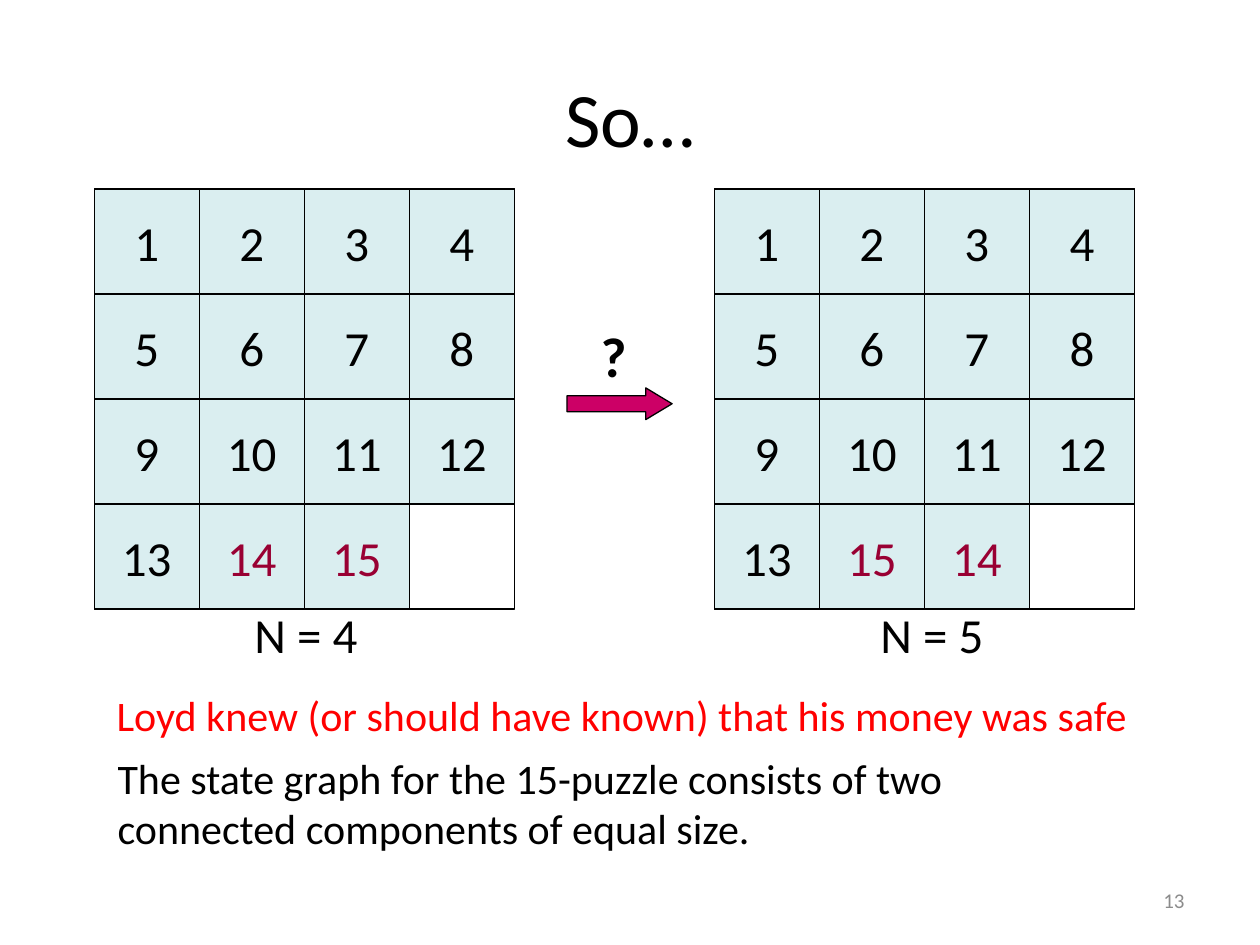
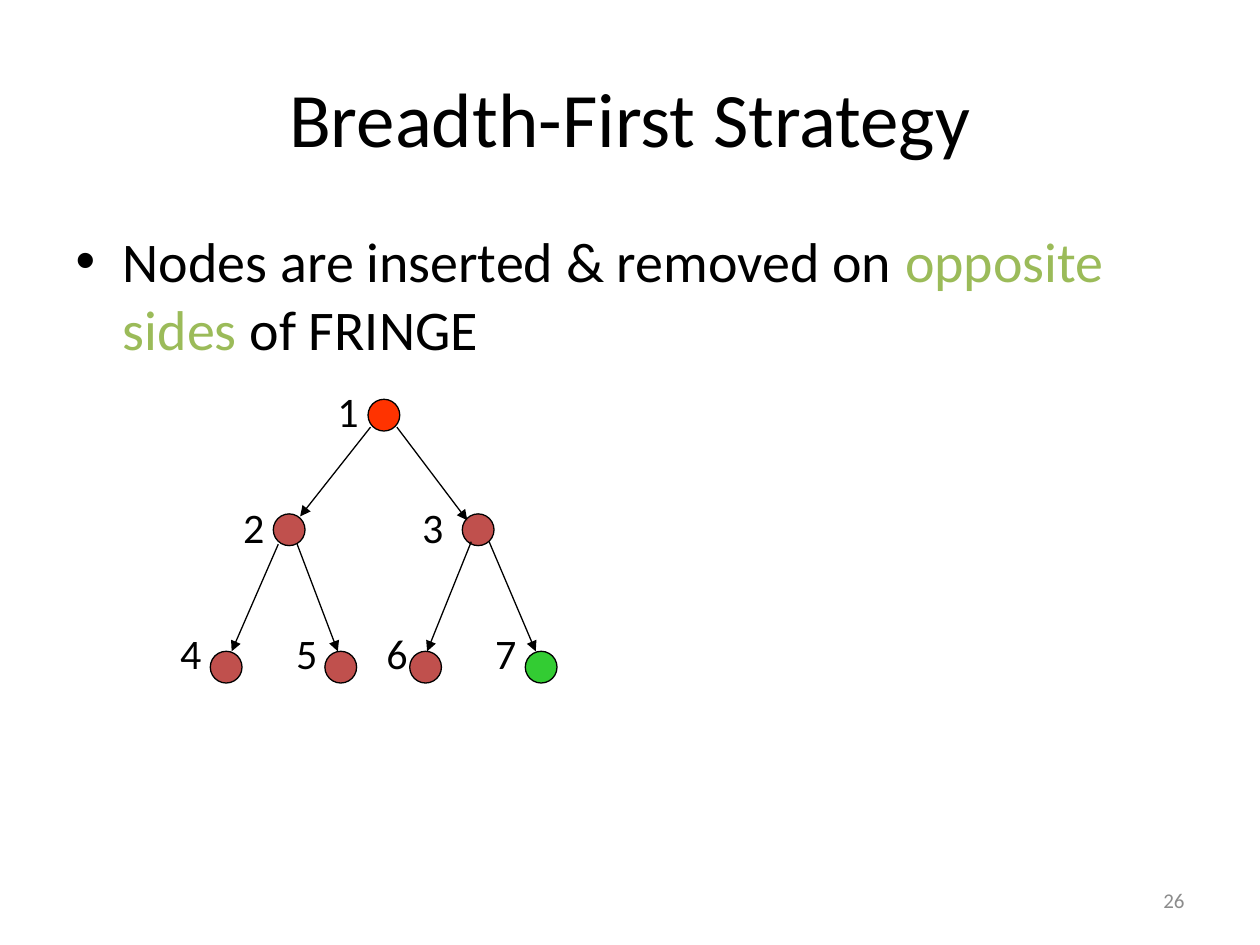
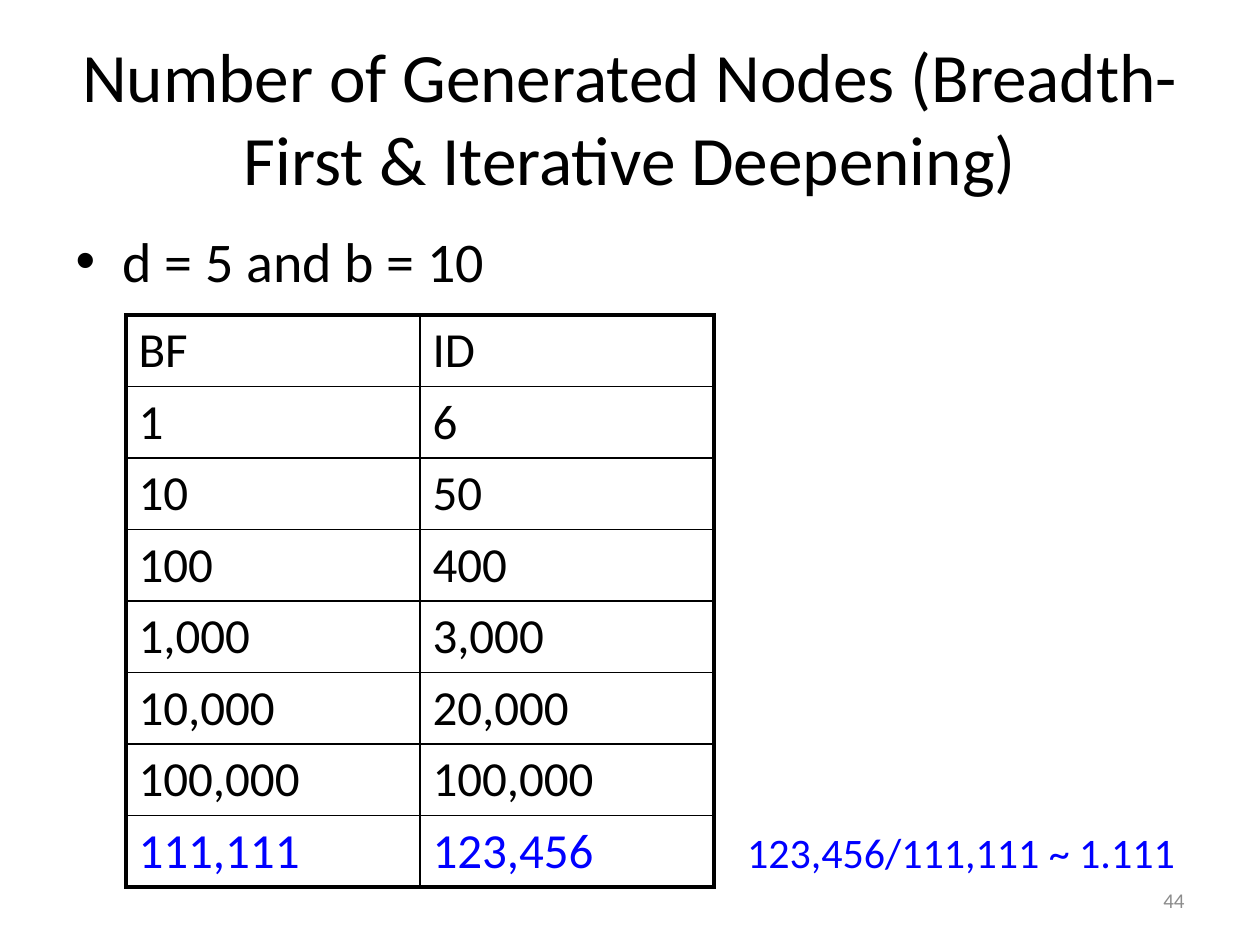
"""Build three slides on search: puzzle parity, breadth-first order and node counts."""
from dataclasses import dataclass

from lxml import etree
from pptx import Presentation
from pptx.dml.color import RGBColor
from pptx.enum.shapes import MSO_CONNECTOR, MSO_SHAPE
from pptx.enum.text import MSO_ANCHOR, MSO_AUTO_SIZE, PP_ALIGN
from pptx.oxml.ns import qn
from pptx.shapes.autoshape import Shape
from pptx.shapes.shapetree import GroupShapes, SlideShapes
from pptx.slide import Slide
from pptx.table import _Cell
from pptx.text.text import _Paragraph
from pptx.util import Cm, Pt

RECTANGLE, ELLIPSE, RIGHT_ARROW = MSO_SHAPE.RECTANGLE, MSO_SHAPE.OVAL, MSO_SHAPE.RIGHT_ARROW
STRAIGHT = MSO_CONNECTOR.STRAIGHT
MIDDLE = MSO_ANCHOR.MIDDLE
LEFT, CENTER, RIGHT = PP_ALIGN.LEFT, PP_ALIGN.CENTER, PP_ALIGN.RIGHT
NO_AUTOFIT = MSO_AUTO_SIZE.NONE

BLACK = RGBColor(0x00, 0x00, 0x00)
GRAY = RGBColor(0x8C, 0x8C, 0x8C)
RED = RGBColor(0xFF, 0x00, 0x00)
BLUE = RGBColor(0x00, 0x00, 0xFF)
OLIVE = RGBColor(0x9B, 0xBB, 0x59)
TILE_FILL = RGBColor(0xDA, 0xEE, 0xF0)
SWAPPED_TEXT = RGBColor(0x99, 0x00, 0x33)
ARROW_FILL = RGBColor(0xCC, 0x00, 0x66)
NODE_FILL = RGBColor(0xC0, 0x50, 0x4D)
ROOT_FILL = RGBColor(0xFF, 0x33, 0x00)
GOAL_FILL = RGBColor(0x33, 0xCC, 0x33)

FONT = "Calibri"
THIN = Pt(0.75)
TITLE_ONLY, TITLE_AND_CONTENT = 5, 1
BOARD_SIDE = 4
TILE = 8.47 / BOARD_SIDE
NODE_SIZE = 0.64
COUNT_ROWS = [
    ("BF", "ID"),
    ("1", "6"),
    ("10", "50"),
    ("100", "400"),
    ("1,000", "3,000"),
    ("10,000", "20,000"),
    ("100,000", "100,000"),
    ("111,111", "123,456"),
]


@dataclass(frozen=True)
class Box:
    """Position and size in centimetres."""

    left: float
    top: float
    width: float
    height: float

    def lengths(self) -> tuple[Cm, Cm, Cm, Cm]:
        """Return the four measures as lengths."""
        return Cm(self.left), Cm(self.top), Cm(self.width), Cm(self.height)


@dataclass(frozen=True)
class Board:
    """A puzzle board, its tile order and its caption."""

    left: float
    last_tiles: tuple[int, ...]
    caption: str
    caption_left: float


@dataclass(frozen=True)
class Node:
    """A tree node with its numbered label."""

    label: str
    left: float
    top: float
    label_left: float
    label_top: float
    fill: RGBColor = NODE_FILL


@dataclass(frozen=True)
class Edge:
    """An arrow between two tree nodes, in centimetres."""

    start_x: float
    start_y: float
    end_x: float
    end_y: float


BOARDS = [
    Board(1.9, (13, 14, 15), "N = 4", 4.88),
    Board(14.4, (13, 15, 14), "N = 5", 17.5),
]
NODES = [
    Node("1", 7.42, 8.05, 6.55, 7.65, ROOT_FILL),
    Node("2", 5.51, 10.36, 4.65, 9.98),
    Node("3", 9.32, 10.36, 8.26, 9.98),
    Node("4", 4.24, 13.13, 3.38, 12.52),
    Node("5", 6.55, 13.13, 5.72, 12.52),
    Node("6", 8.26, 13.13, 7.54, 12.52),
    Node("7", 10.59, 13.13, 9.73, 12.52, GOAL_FILL),
]
EDGES = [
    Edge(7.47, 8.61, 6.05, 10.41),
    Edge(8, 8.61, 9.42, 10.49),
    Edge(5.61, 10.97, 4.67, 13.13),
    Edge(5.99, 10.97, 6.81, 13.13),
    Edge(9.5, 10.92, 8.61, 13.13),
    Edge(9.86, 10.92, 10.8, 13.13),
]


def write(paragraph: _Paragraph, text: str, *, size: float = 24, color: RGBColor = BLACK,
          bold: bool = False, align: PP_ALIGN | None = None) -> None:
    """Append a formatted run to a paragraph."""
    run = paragraph.add_run()
    run.text = text
    run.font.name = FONT
    run.font.size = Pt(size)
    run.font.bold = bold
    run.font.color.rgb = color
    if align is not None:
        paragraph.alignment = align


def add_text(shapes: SlideShapes | GroupShapes, text: str, box: Box, *, wrap: bool = False,
             anchor: MSO_ANCHOR | None = None, align: PP_ALIGN = LEFT, size: float = 24,
             color: RGBColor = BLACK, bold: bool = False) -> None:
    """Add a text box with one formatted paragraph."""
    frame = shapes.add_textbox(*box.lengths()).text_frame
    frame.word_wrap = wrap
    if anchor is not None:
        frame.vertical_anchor = anchor
    write(frame.paragraphs[0], text, size=size, color=color, bold=bold, align=align)


def add_outlined(shapes: SlideShapes | GroupShapes, kind: MSO_SHAPE, box: Box,
                 fill: RGBColor | None = None) -> Shape:
    """Add a preset shape with a thin black outline."""
    shape = shapes.add_shape(kind, *box.lengths())
    shape.shadow.inherit = False
    shape.line.color.rgb = BLACK
    shape.line.width = THIN
    if fill is None:
        shape.fill.background()
    else:
        shape.fill.solid()
        shape.fill.fore_color.rgb = fill
    return shape


def add_slide(presentation: Presentation, layout: int, title: str, number: int,
              title_size: float = 44) -> Slide:
    """Add a slide with its title and slide number."""
    slide = presentation.slides.add_slide(presentation.slide_layouts[layout])
    frame = slide.shapes.title.text_frame
    frame.auto_size = NO_AUTOFIT
    write(frame.paragraphs[0], title, size=title_size, align=CENTER)
    add_text(slide.shapes, str(number), Box(18.2, 17.65, 5.93, 1.01), wrap=True,
             anchor=MIDDLE, align=RIGHT, size=12, color=GRAY)
    return slide


def add_bullet(slide: Slide, *parts: tuple[str, RGBColor]) -> None:
    """Fill the body placeholder with one bullet of coloured parts."""
    frame = slide.placeholders[1].text_frame
    frame.auto_size = NO_AUTOFIT
    for text, color in parts:
        write(frame.paragraphs[0], text, size=32, color=color)


def draw_board(slide: Slide, board: Board) -> None:
    """Draw a grouped puzzle board and the caption under it."""
    top = 3.81
    shapes = slide.shapes.add_group_shape().shapes
    add_outlined(shapes, RECTANGLE, Box(board.left, top, TILE * BOARD_SIDE, TILE * BOARD_SIDE))
    for index, value in enumerate((*range(1, 13), *board.last_tiles)):
        row, column = divmod(index, BOARD_SIDE)
        box = Box(board.left + column * TILE, top + row * TILE, TILE, TILE)
        frame = add_outlined(shapes, RECTANGLE, box, TILE_FILL).text_frame
        frame.word_wrap = False
        frame.vertical_anchor = MIDDLE
        color = SWAPPED_TEXT if value in (14, 15) else BLACK
        write(frame.paragraphs[0], str(value), size=28, color=color, align=CENTER)
    add_text(slide.shapes, board.caption, Box(board.caption_left, 12.07, 2.62, 1.45), size=28)


def draw_edge(shapes: GroupShapes, edge: Edge) -> None:
    """Draw a thin line with a triangle at its end."""
    connector = shapes.add_connector(STRAIGHT, Cm(edge.start_x), Cm(edge.start_y),
                                     Cm(edge.end_x), Cm(edge.end_y))
    connector.line.color.rgb = BLACK
    connector.line.width = THIN
    etree.SubElement(connector.line._get_or_add_ln(), qn("a:tailEnd"), type="triangle")
    etree.SubElement(connector._element.spPr, qn("a:effectLst"))


def set_borders(cell: _Cell, **widths: float) -> None:
    """Give a cell black borders, keyed by the side's letter."""
    properties = cell._tc.get_or_add_tcPr()
    for position, (side, width) in enumerate(widths.items()):
        line = etree.Element(qn(f"a:ln{side}"), w=str(Pt(width)))
        fill = etree.SubElement(line, qn("a:solidFill"))
        etree.SubElement(fill, qn("a:srgbClr"), val=str(BLACK))
        properties.insert(position, line)


def draw_counts(slide: Slide) -> None:
    """Draw the table of generated nodes with a heavier outer frame."""
    last_row, last_column = len(COUNT_ROWS) - 1, len(COUNT_ROWS[0]) - 1
    box = Box(2.54, 6.35, 11.85, 11.52)
    table = slide.shapes.add_table(last_row + 1, last_column + 1, *box.lengths()).table
    table.first_row = table.horz_banding = False
    for row, values in enumerate(COUNT_ROWS):
        for column, value in enumerate(values):
            cell = table.cell(row, column)
            cell.fill.background()
            write(cell.text_frame.paragraphs[0], value, size=28,
                  color=BLUE if row == last_row else BLACK)
            outer = {"L": column == 0, "R": column == last_column,
                     "T": row == 0, "B": row == last_row}
            set_borders(cell, **{side: 2.25 if edge else 1 for side, edge in outer.items()})


def build_puzzle_slide(presentation: Presentation) -> None:
    """Compare the two puzzle boards."""
    slide = add_slide(presentation, TITLE_ONLY, "So…", 13)
    for board in BOARDS:
        draw_board(slide, board)
    arrow = add_outlined(slide.shapes, RIGHT_ARROW, Box(11.43, 7.82, 2.12, 0.64), ARROW_FILL)
    arrow.adjustments[1] = 0.83
    add_text(slide.shapes, "?", Box(11.86, 6.35, 1.04, 1.63), size=32, bold=True)
    add_text(slide.shapes, "Loyd knew (or should have known) that his money was safe",
             Box(2.1, 13.77, 20.9, 1.3), color=RED)
    add_text(slide.shapes, "The state graph for the 15-puzzle consists of two connected "
             "components of equal size.", Box(2.12, 15.04, 20.75, 2.3), wrap=True)


def build_breadth_first_slide(presentation: Presentation) -> None:
    """Show the numbered search tree."""
    slide = add_slide(presentation, TITLE_AND_CONTENT, "Breadth-First Strategy", 26)
    add_bullet(slide, ("Nodes are inserted & removed on ", BLACK),
               ("opposite sides ", OLIVE), ("of FRINGE", BLACK))
    shapes = slide.shapes.add_group_shape().shapes
    for node in NODES:
        add_outlined(shapes, ELLIPSE, Box(node.left, node.top, NODE_SIZE, NODE_SIZE), node.fill)
        add_text(shapes, node.label, Box(node.label_left, node.label_top, 0.94, 1.3))
    for edge in EDGES:
        draw_edge(shapes, edge)


def build_counts_slide(presentation: Presentation) -> None:
    """Compare node counts of the two strategies."""
    slide = add_slide(presentation, TITLE_AND_CONTENT,
                      "Number of Generated Nodes (Breadth-First & Iterative Deepening)", 44, 39.6)
    add_bullet(slide, ("d = 5 and b = 10", BLACK))
    draw_counts(slide)
    add_text(slide.shapes, "123,456/111,111 ~ 1.111", Box(14.81, 16.54, 9.37, 1.27), color=BLUE)


def main() -> None:
    """Build and save the presentation."""
    presentation = Presentation()
    presentation.slide_width, presentation.slide_height = Cm(25.4), Cm(19.05)
    build_puzzle_slide(presentation)
    build_breadth_first_slide(presentation)
    build_counts_slide(presentation)
    presentation.save("out.pptx")


if __name__ == "__main__":
    main()
